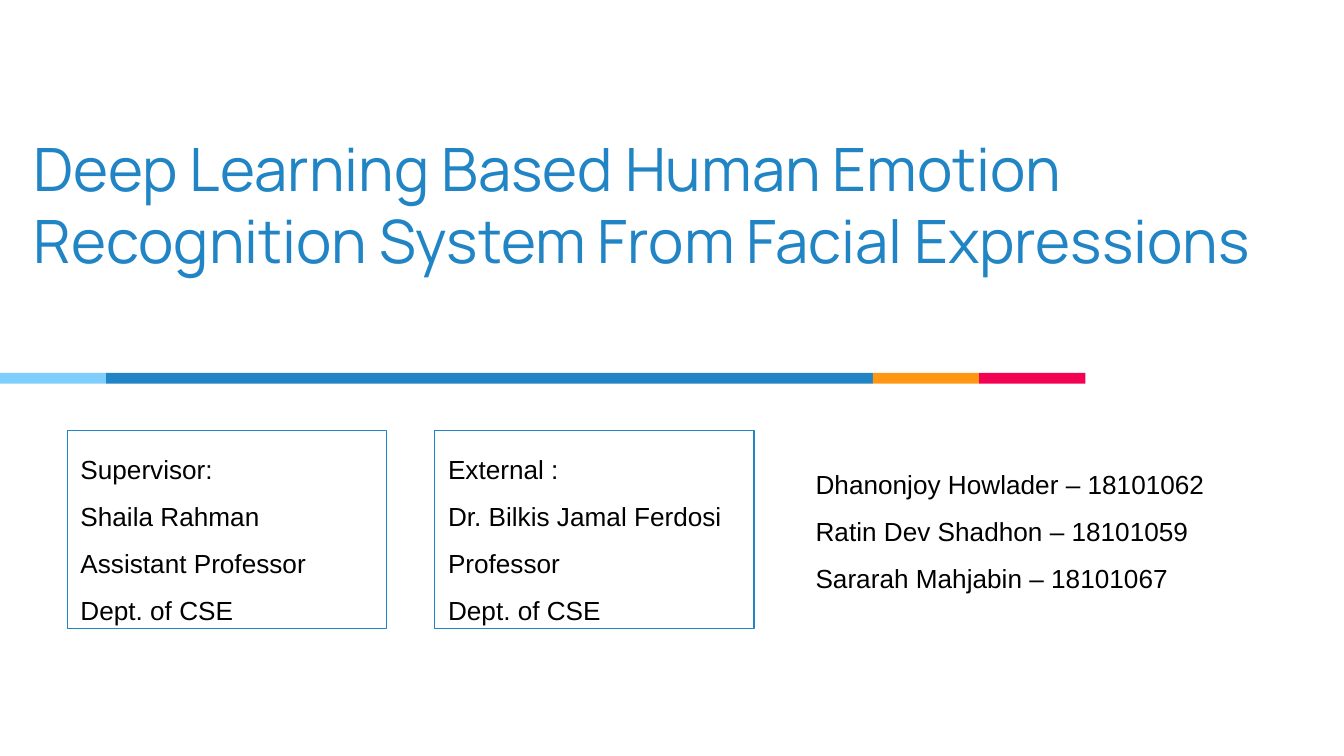
from pptx import Presentation
from pptx import util as u
from pptx.dml import color
from pptx.enum import shapes, text

PX = u.Inches(1) // 200


def rgb(value):
    return color.RGBColor.from_string(value)


def write_lines(shape, lines):
    frame = shape.text_frame
    frame.word_wrap = True
    frame.auto_size = text.MSO_AUTO_SIZE.SHAPE_TO_FIT_TEXT
    frame.vertical_anchor = text.MSO_ANCHOR.TOP
    frame.text = "\n".join(lines)
    for paragraph in frame.paragraphs:
        paragraph.alignment = text.PP_ALIGN.LEFT
        paragraph.line_spacing = 1.5
        paragraph.font.name = "Arial"
        paragraph.font.size = u.Pt(14)
        paragraph.font.color.rgb = rgb("000000")


presentation = Presentation()
presentation.slide_width = 2000 * PX
presentation.slide_height = 1125 * PX
slide = presentation.slides.add_slide(presentation.slide_layouts[0])

subtitle = slide.placeholders[1]
subtitle.element.getparent().remove(subtitle.element)

left = 0
for width, fill in [(158, "7ECEFD"), (1141, "2185C5"), (158, "FF9715"), (158, "F20253")]:
    stripe = slide.shapes.add_shape(
        shapes.MSO_SHAPE.RECTANGLE, left * PX, 555 * PX, width * PX, 16 * PX)
    stripe.shadow.inherit = False
    stripe.fill.solid()
    stripe.fill.fore_color.rgb = rgb(fill)
    stripe.line.fill.background()
    left += width

title = slide.shapes.title
title.left, title.top, title.width, title.height = 30 * PX, 176 * PX, 1940 * PX, 328 * PX
frame = title.text_frame
frame.text = "Deep Learning Based Human Emotion Recognition System From Facial Expressions"
frame.word_wrap = True
frame.auto_size = text.MSO_AUTO_SIZE.NONE
frame.vertical_anchor = text.MSO_ANCHOR.TOP
frame.margin_left = frame.margin_right = frame.margin_top = frame.margin_bottom = 20 * PX
paragraph = frame.paragraphs[0]
paragraph.alignment = text.PP_ALIGN.LEFT
paragraph.font.name = "Manrope"
paragraph.font.size = u.Pt(32)
paragraph.font.color.rgb = rgb("2185C5")

students = slide.shapes.add_textbox(1194 * PX, 664 * PX, 1080 * PX, 224 * PX)
write_lines(students, [
    "Dhanonjoy Howlader – 18101062",
    "Ratin Dev Shadhon – 18101059",
    "Sararah Mahjabin – 18101067",
])

examiners = [
    ["Supervisor:", "Shaila Rahman", "Assistant Professor", "Dept. of CSE"],
    ["External :", "Dr. Bilkis Jamal Ferdosi", "Professor", "Dept. of CSE"],
]
for index, lines in enumerate(examiners):
    box = slide.shapes.add_shape(
        shapes.MSO_SHAPE.RECTANGLE, (100 + 547 * index) * PX, 641 * PX, 475 * PX, 294 * PX)
    box.shadow.inherit = False
    box.fill.background()
    box.line.color.rgb = rgb("2185C5")
    box.line.width = u.Pt(0.75)
    write_lines(box, lines)

presentation.save("out.pptx")
